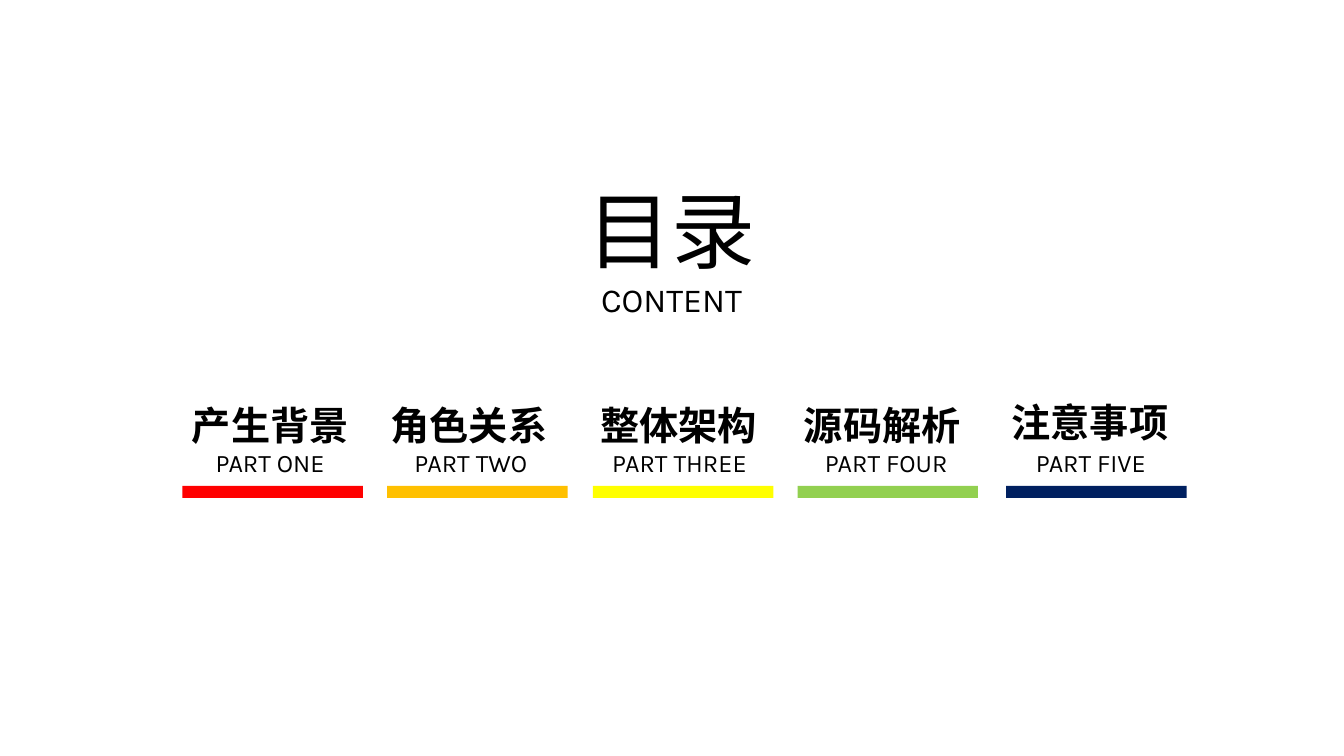
from pptx import Presentation
from pptx.dml.color import RGBColor
from pptx.enum.shapes import MSO_SHAPE
from pptx.enum.text import MSO_ANCHOR, MSO_AUTO_SIZE, PP_ALIGN
from pptx.util import Pt

PX = 9144
BLACK = RGBColor(0x00, 0x00, 0x00)
RED = RGBColor(0xFF, 0x00, 0x00)
AMBER = RGBColor(0xFF, 0xC0, 0x00)
YELLOW = RGBColor(0xFF, 0xFF, 0x00)
GREEN = RGBColor(0x92, 0xD0, 0x50)
NAVY = RGBColor(0x00, 0x20, 0x60)

PARTS = [
    ("产生背景", 172, 379, "PART ONE", 268, 181, RED),
    ("角色关系", 369, 379, "PART TWO", 467, 384, AMBER),
    ("整体架构", 577, 379, "PART THREE", 674, 588, YELLOW),
    ("源码解析", 779, 379, "PART FOUR", 879, 791, GREEN),
    ("注意事项", 985, 376, "PART FIVE", 1082, 998, NAVY),
]


class Deck:
    """Builds slide elements in one shared style, measured in px."""

    font = "Karla"

    def __init__(self, width, height):
        self.file = Presentation()
        self.file.slide_width = width * PX
        self.file.slide_height = height * PX
        self.slide = self.file.slides.add_slide(self.file.slide_layouts[5])

    def style(self, para, size, bold=False, lead=1.0):
        para.alignment = PP_ALIGN.CENTER
        para.line_spacing = lead
        para.font.name = self.font
        para.font.size = Pt(size)
        para.font.bold = bold
        para.font.color.rgb = BLACK

    def title(self, lines, left, top, width, height):
        shape = self.slide.shapes.title
        shape.left, shape.top = left * PX, top * PX
        shape.width, shape.height = width * PX, height * PX
        frame = shape.text_frame
        frame.word_wrap = False
        frame.auto_size = MSO_AUTO_SIZE.SHAPE_TO_FIT_TEXT
        frame.vertical_anchor = MSO_ANCHOR.TOP
        frame.text = "\n".join(text for text, size in lines)
        for para, (text, size) in zip(frame.paragraphs, lines):
            self.style(para, size)

    def text(self, words, left, top, width, height, size, bold=False):
        box = self.slide.shapes.add_textbox(
            left * PX, top * PX, width * PX, height * PX)
        frame = box.text_frame
        frame.word_wrap = True
        frame.auto_size = MSO_AUTO_SIZE.SHAPE_TO_FIT_TEXT
        frame.text = words
        self.style(frame.paragraphs[0], size, bold, 1.3)

    def bar(self, left, top, width, height, color):
        shape = self.slide.shapes.add_shape(
            MSO_SHAPE.RECTANGLE, left * PX, top * PX, width * PX, height * PX)
        shape.shadow.inherit = False
        shape.fill.solid()
        shape.fill.fore_color.rgb = color
        shape.line.fill.background()


def main():
    deck = Deck(1333, 750)
    deck.title([("目录", 60), ("CONTENT", 24)], 572, 172, 188, 151)
    wide = 186
    for head, left, top, label, mid, start, color in PARTS:
        deck.text(label, mid - wide // 2, 430, wide, 49, 18)
        deck.text(head, left, top, 192, 65, 28, True)
        deck.bar(start, 482, 179, 12, color)
    deck.file.save("out.pptx")


if __name__ == "__main__":
    main()
